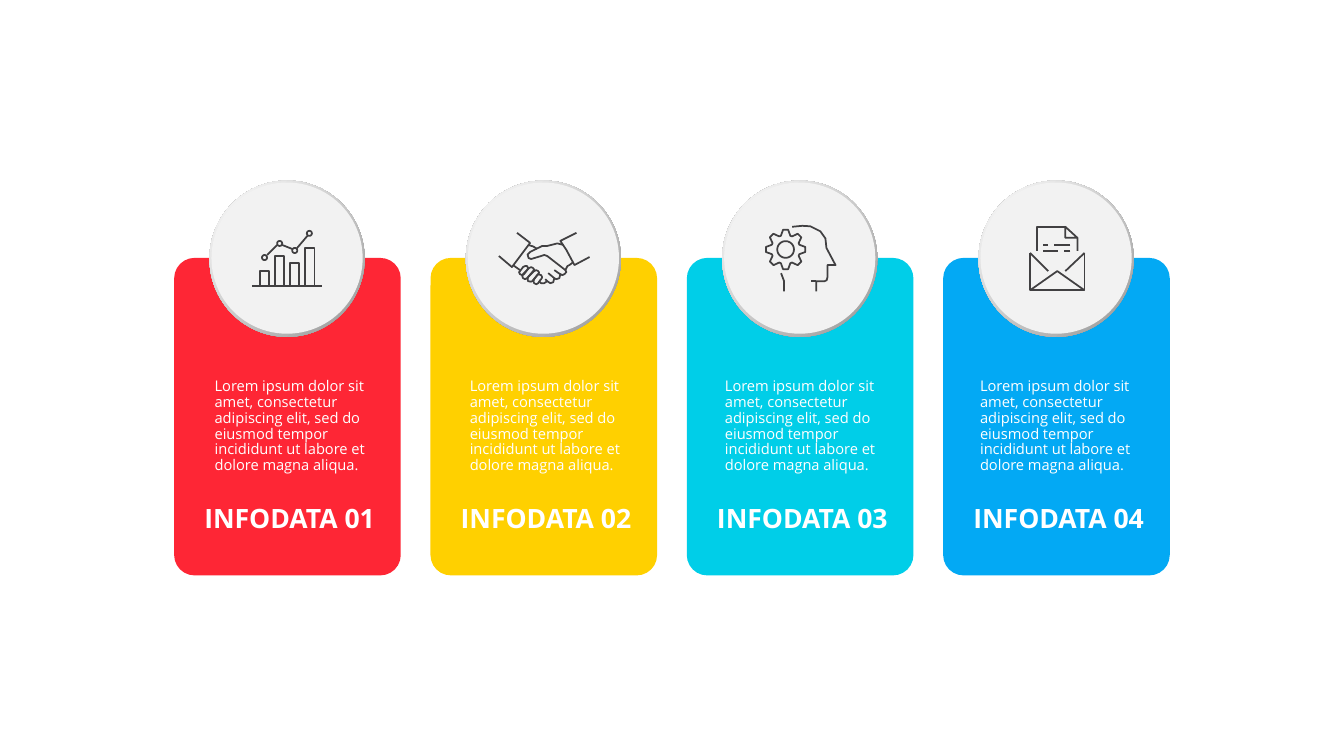
from math import cos, sin, radians
from pptx import Presentation
from pptx.dml.color import RGBColor
from pptx.enum.shapes import MSO_SHAPE
from pptx.enum.text import MSO_AUTO_SIZE, PP_ALIGN
from pptx.util import Cm, Pt

RED = RGBColor(0xFE, 0x26, 0x35)
YELLOW = RGBColor(0xFF, 0xD0, 0x00)
CYAN = RGBColor(0x00, 0xCE, 0xE8)
BLUE = RGBColor(0x03, 0xA9, 0xF4)
WHITE = RGBColor(0xFF, 0xFF, 0xFF)
PALE = RGBColor(0xF2, 0xF2, 0xF2)
GRAY = RGBColor(0x97, 0x97, 0x97)
INK = RGBColor(0x41, 0x40, 0x42)
UNIT = 0.0254  # icon points are hundredths of an inch, in cm
STEP = 6.46    # distance from card to card
LOREM = ("Lorem ipsum dolor sit amet, consectetur adipiscing elit, sed do "
         "eiusmod tempor incididunt ut labore et dolore magna aliqua.")

deck = Presentation()
deck.slide_width, deck.slide_height = Cm(33.87), Cm(19.05)
slide = deck.slides.add_slide(deck.slide_layouts[6])
shapes = slide.shapes


def write(text, left, top, width, height, size, bold=False, wrap=True,
          align=PP_ALIGN.LEFT, inset=None, space=1.0):
    box = shapes.add_textbox(Cm(left), Cm(top), Cm(width), Cm(height))
    frame = box.text_frame
    frame.word_wrap = wrap
    if inset is not None:
        frame.margin_left = frame.margin_right = Cm(inset)
        frame.margin_top = frame.margin_bottom = Cm(inset)
        frame.auto_size = MSO_AUTO_SIZE.SHAPE_TO_FIT_TEXT
    para = frame.paragraphs[0]
    para.text = text
    para.alignment = align
    para.line_spacing = space
    font = para.runs[0].font
    font.name, font.size, font.bold = "Open Sans", Pt(size), bold
    font.color.rgb = WHITE


def ring(x, y, radius):
    return [(x + radius * cos(radians(a)), y + radius * sin(radians(a)))
            for a in range(0, 361, 15)]


# Chart icon: base line, bars, trend dots and their links
chart = [[(250, 284), (320, 284)]]
for x, y in [(258, 269), (273, 254), (288, 261), (303, 246)]:
    chart.append([(x, 284), (x, y), (x + 9, y), (x + 9, 284), (x, 284)])
for x, y in [(262.5, 255.5), (277.5, 241.5), (292.5, 248.5), (307, 231.5)]:
    chart.append(ring(x, y, 2.5))
chart += [[(294, 247), (305, 234)], [(280, 243), (290, 247)],
          [(275, 243), (265, 253)]]

# Handshake icon: fingers, cuffs, hands
hands = [
    [(518, 273), (516, 272), (515, 270), (516, 269), (519, 265), (521, 264),
     (523, 264), (524, 266), (523, 268), (520, 272), (518, 273)],
    [(523, 276), (529, 269), (530, 267.5), (529, 266), (527, 265), (525, 266),
     (519, 272), (518.3, 274), (519, 276), (521, 277), (523, 276)],
    [(528, 279), (534, 272), (535, 270.5), (534, 269), (532, 268), (530, 269),
     (524, 275), (523.5, 277), (524, 279), (527, 279.5), (528, 279)],
    [(536, 278), (537, 277), (538, 275), (537, 273), (534, 272), (533, 273),
     (530, 277), (529.3, 279), (530, 281), (532, 282), (534, 281), (536, 278)],
    [(550, 268), (555, 271.5), (558, 273), (560, 272), (562, 270), (561, 268)],
    [(544, 271), (550, 276), (552, 277), (555, 276), (556, 272)],
    [(541, 277), (543, 279), (546, 281), (549, 280), (550, 276)],
    [(535, 279), (537, 281), (540, 281), (543, 279)],
    [(572, 231), (556, 239), (562, 248), (570, 263), (585, 255)],
    [(559, 243), (553, 241.5), (549, 242.5), (543, 244), (538, 244),
     (526, 250), (523.5, 252.5), (524.5, 256), (527, 257), (537, 254),
     (540, 253), (543, 254), (552, 261), (561, 268)],
    [(569, 260), (565, 263), (563, 264), (561, 268)],
    [(495, 254), (508, 265), (526, 241), (513, 231)],
    [(509, 263), (516, 268)],
    [(533, 247), (529, 244.5), (524, 243)],
]

# Head icon: face, neck, gear with eight teeth
head = [
    [(786, 225), (796, 224), (804, 224.5), (814, 229.5), (819, 236.5),
     (820, 246), (829, 263), (821, 263), (821, 275), (820.3, 278), (818, 279),
     (810, 279), (810, 289)],
    [(778, 289), (778, 279), (775, 271)],
    [(810, 279), (805, 279)],
    ring(779.5, 247.5, 8.3),
]
gear = [(779.5 + r * cos(radians(45 * n + a)), 247.5 + r * sin(radians(45 * n + a)))
        for n in range(8)
        for a, r in [(-19, 14.4), (-7.3, 19.7), (7.3, 19.7), (19, 14.4)]]
head.append(gear + gear[:1])

# Letter icon: envelope, sheet, lines of writing
mail = [
    [(1076, 251), (1076, 288), (1022, 288), (1022, 251)],
    [(1076, 288), (1049, 269), (1022, 288)],
    [(1076, 251), (1057, 269)], [(1022, 251), (1040, 269)],
    [(1069, 249), (1069, 236), (1057, 225), (1057, 236), (1069, 236)],
    [(1057, 225), (1029, 225), (1029, 249)],
    [(1040, 243), (1035, 243)], [(1062, 243), (1046, 243)],
    [(1035, 249), (1050, 249)], [(1062, 249), (1056, 249)],
]

# Cards
for n, (color, icon) in enumerate(
        [(RED, chart), (YELLOW, hands), (CYAN, head), (BLUE, mail)]):
    shift = n * STEP
    card = shapes.add_shape(MSO_SHAPE.ROUNDED_RECTANGLE, Cm(4.39 + shift),
                            Cm(6.5), Cm(5.71), Cm(8))
    card.adjustments[0] = 0.09
    rim = shapes.add_shape(MSO_SHAPE.OVAL, Cm(5.28 + shift), Cm(4.55),
                           Cm(3.91), Cm(3.94))
    disc = shapes.add_shape(MSO_SHAPE.OVAL, Cm(5.33 + shift), Cm(4.6),
                            Cm(3.81), Cm(3.81))
    for part, fill in [(card, color), (disc, PALE)]:
        part.fill.solid()
        part.fill.fore_color.rgb = fill
    rim.fill.gradient()
    rim.fill.gradient_angle = 135
    for stop, tone in zip(rim.fill.gradient_stops, [GRAY, WHITE]):
        stop.color.rgb = tone
    for part in (card, rim, disc):
        part.line.fill.background()
        part.shadow.inherit = False

    write(f"INFODATA {n + 1:02}", 5.13 + shift, 12.65, 4.34, 0.81, 19,
          bold=True, wrap=False, align=PP_ALIGN.CENTER, inset=0)
    write(LOREM, 5.16 + n * 6.43, 9.42, 4.39, 2.29, 10.5, space=0.9)

    # Icon strokes
    pen = None
    for stroke in icon:
        first, *rest = [(Cm(x * UNIT), Cm(y * UNIT)) for x, y in stroke]
        if pen is None:
            pen = shapes.build_freeform(*first)
        else:
            pen.move_to(*first)
        pen.add_line_segments(rest, close=False)
    sign = pen.convert_to_shape()
    sign.fill.background()
    sign.line.color.rgb = INK
    sign.line.width = Pt(1.25)
    sign.shadow.inherit = False

deck.save("out.pptx")
